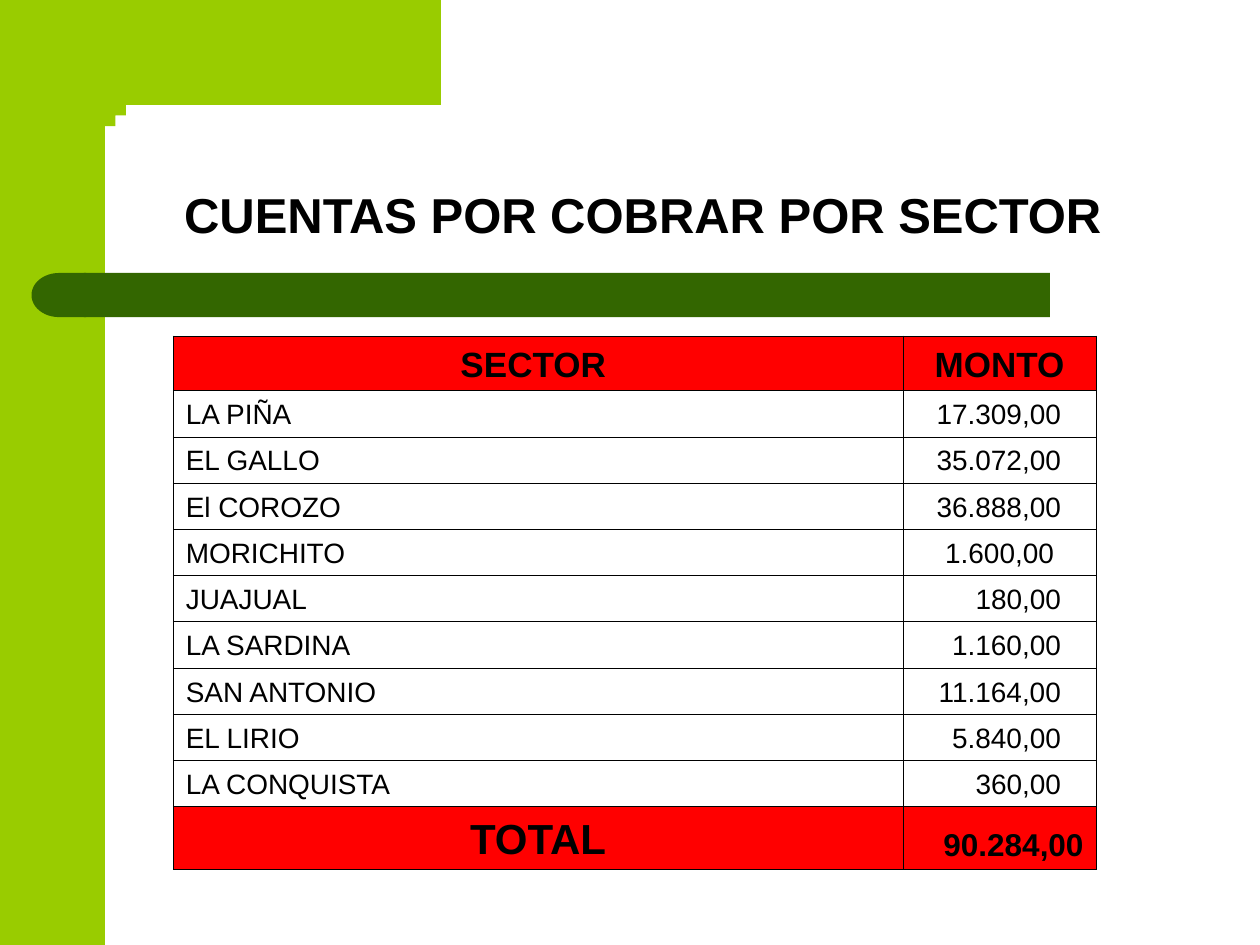
import math

from lxml import etree
from pptx import Presentation
from pptx.dml.color import RGBColor
from pptx.enum.shapes import MSO_SHAPE
from pptx.enum.text import MSO_ANCHOR, PP_ALIGN
from pptx.oxml.ns import qn
from pptx.util import Inches, Pt

RECTANGLE = MSO_SHAPE.RECTANGLE
DELAY = MSO_SHAPE.FLOWCHART_DELAY
LEFT, CENTER, RIGHT = PP_ALIGN.LEFT, PP_ALIGN.CENTER, PP_ALIGN.RIGHT
BOTTOM = MSO_ANCHOR.BOTTOM

COLORS = {"lime": "99CC00", "forest": "336600", "red": "FF0000", "black": "000000"}
FONT = "Arial"
UNIT = Inches(1 / 12)  # the slide is a grid of 120 columns by 90 rows
COLUMNS, ROWS = 120, 90
BORDER_WIDTH = Pt(0.45)
AMOUNT_MARGIN = 3.36  # right margin of the amounts, in columns

SECTORS = [
    ("LA PIÑA", "17.309,00"),
    ("EL GALLO", "35.072,00"),
    ("El COROZO", "36.888,00"),
    ("MORICHITO", "1.600,00"),
    ("JUAJUAL", "180,00"),
    ("LA SARDINA", "1.160,00"),
    ("SAN ANTONIO", "11.164,00"),
    ("EL LIRIO", "5.840,00"),
    ("LA CONQUISTA", "360,00"),
]
CENTERED_AMOUNTS = {"1.600,00"}


def grid(*units):
    return [round(unit * UNIT) for unit in units]


def rgb(name):
    return RGBColor.from_string(COLORS[name])


class SlideBuilder:
    def __init__(self, slide):
        self.slide = slide

    def paint(self, shape, color):
        shape.shadow.inherit = False
        shape.fill.solid()
        shape.fill.fore_color.rgb = rgb(color)
        shape.line.fill.background()

    def shape(self, kind, color, *box):
        shape = self.slide.shapes.add_shape(kind, *grid(*box))
        self.paint(shape, color)
        return shape

    def outline(self, color, points):
        builder = self.slide.shapes.build_freeform(*points[0], scale=UNIT)
        builder.add_line_segments(points[1:], close=True)
        self.paint(builder.convert_to_shape(), color)

    def run(self, paragraph, text, size, bold):
        run = paragraph.add_run()
        run.text = text
        values = {"name": FONT, "size": Pt(size), "bold": bold}
        for attribute, value in values.items():
            setattr(run.font, attribute, value)
        run.font.color.rgb = rgb("black")

    def title(self, runs, *box):
        frame = self.slide.shapes.add_textbox(*grid(*box)).text_frame
        frame.word_wrap = True
        frame.vertical_anchor = BOTTOM
        paragraph = frame.paragraphs[0]
        paragraph.alignment = CENTER
        paragraph.line_spacing = 0.9
        for text, size in runs:
            self.run(paragraph, text, size, True)

    def borders(self, cell):
        properties = cell._tc.get_or_add_tcPr()
        for index, side in enumerate(("lnL", "lnR", "lnT", "lnB")):
            line = etree.Element(qn(f"a:{side}"), w=str(BORDER_WIDTH))
            fill = etree.SubElement(line, qn("a:solidFill"))
            etree.SubElement(fill, qn("a:srgbClr"), val=COLORS["black"])
            properties.insert(index, line)

    def cell(self, cell, text, size, alignment=LEFT, bold=False, fill=None, margin=1.2):
        cell.vertical_anchor = BOTTOM
        cell.margin_right = grid(margin)[0]
        if fill:
            cell.fill.solid()
            cell.fill.fore_color.rgb = rgb(fill)
        else:
            cell.fill.background()
        paragraph = cell.text_frame.paragraphs[0]
        paragraph.alignment = alignment
        self.run(paragraph, text, size, bold)
        self.borders(cell)

    def table(self, rows, left, top, widths, heights):
        box = grid(left, top, sum(widths), sum(heights))
        table = self.slide.shapes.add_table(len(rows), len(widths), *box).table
        table.first_row = table.horz_banding = False
        for column, width in zip(table.columns, grid(*widths)):
            column.width = width
        for row, height, contents in zip(table.rows, grid(*heights), rows):
            row.height = height
            for cell, content in zip(row.cells, contents):
                self.cell(cell, **content)


def sector_row(sector, amount):
    placement = {"alignment": RIGHT, "margin": AMOUNT_MARGIN}
    if amount in CENTERED_AMOUNTS:
        placement = {"alignment": CENTER}
    return [{"text": sector, "size": 16}, {"text": amount, "size": 16, **placement}]


def main():
    presentation = Presentation()
    presentation.slide_width, presentation.slide_height = grid(COLUMNS, ROWS)
    builder = SlideBuilder(presentation.slides.add_slide(presentation.slide_layouts[6]))

    # Lime side band and top block, joined by a rounded inner corner
    builder.shape(RECTANGLE, "lime", 0, 0, 10, ROWS)
    center, radius = 14, 4
    angles = [math.radians(degrees) for degrees in range(90, 181, 6)]
    corner = [
        (center + radius * math.cos(angle), center - radius * math.sin(angle))
        for angle in angles
    ]
    builder.outline("lime", [(42, 0), (42, 10), *corner, (10, 15.3), (6, 15.3), (6, 0)])

    # Green bar with a round left end
    builder.shape(RECTANGLE, "forest", 8, 26, 92, 4.2)
    bar_end = builder.shape(DELAY, "forest", 3, 26, 5.2, 4.2)
    bar_end._element.spPr.find(qn("a:xfrm")).set("flipH", "1")

    # Title
    title = [("CUENTAS POR COBRAR POR SECTOR", 28), (" ", 32)]
    builder.title(title, 10.9, 10.9, 102.1, 13.1)

    # Amounts due by sector
    strong = {"bold": True, "fill": "red"}
    heading = {"size": 20, "alignment": CENTER, **strong}
    header = [{"text": "SECTOR ", **heading}, {"text": "MONTO", **heading}]
    total = [
        {"text": "TOTAL", "size": 24, "alignment": CENTER, **strong},
        {"text": "90.284,00", "size": 18, "alignment": RIGHT, **strong},
    ]
    rows = [header, *(sector_row(*entry) for entry in SECTORS), total]
    heights = [5.2, *[4.39] * len(SECTORS), 5.95]
    builder.table(rows, 16.5, 32, [69.5, 18.4], heights)

    presentation.save("out.pptx")


if __name__ == "__main__":
    main()
